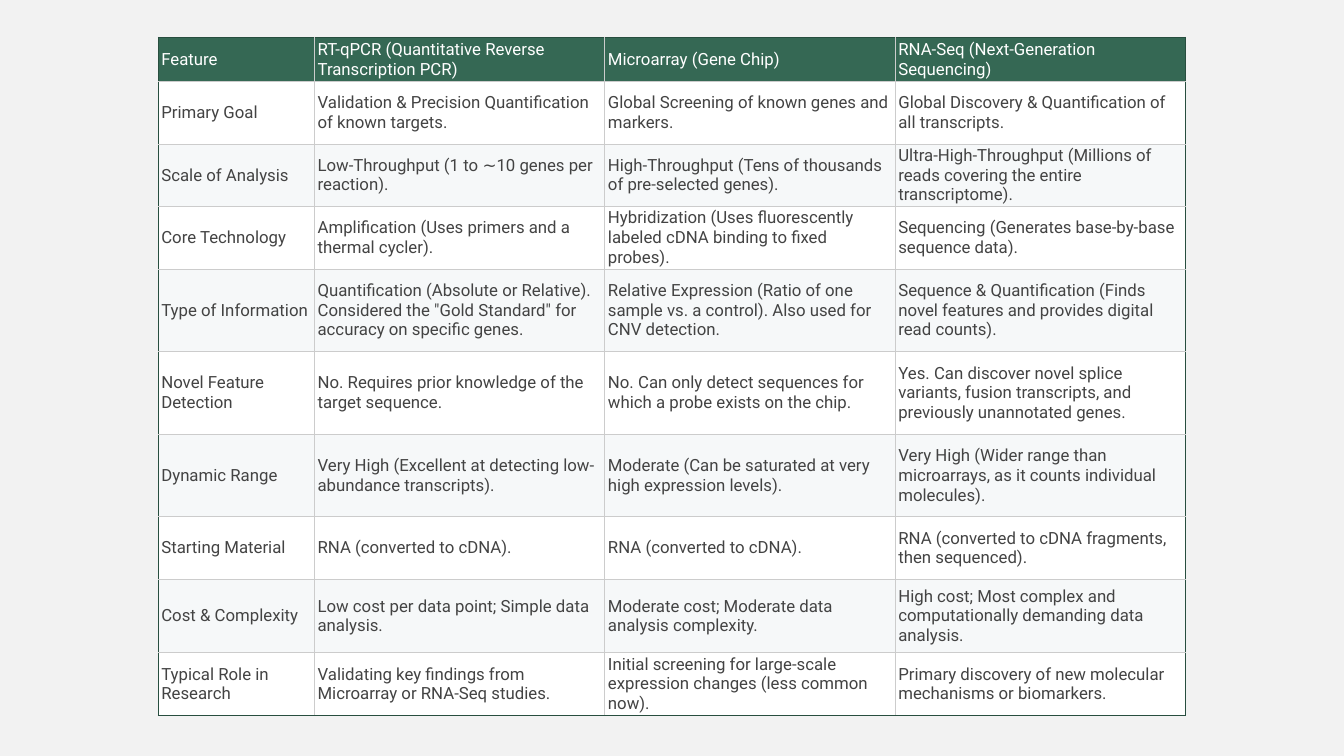
from dataclasses import dataclass

from lxml.etree import SubElement
from pptx import Presentation
from pptx.dml.color import RGBColor
from pptx.enum.text import MSO_ANCHOR
from pptx.oxml.ns import qn
from pptx.util import Inches, Pt


@dataclass(frozen=True)
class Theme:
    font: str = "Roboto"
    text_size: int = 12
    border_width: float = 0.75
    background: str = "F2F2F2"
    header_fill: str = "356854"
    header_text: str = "FFFFFF"
    body_text: str = "434343"
    row_fills: tuple = ("FFFFFF", "F6F8F9")
    outer_border: str = "284E3F"
    inner_border: str = "CCCCCC"


class SlideBuilder:
    def __init__(self, deck, theme):
        self.theme = theme
        self.page = deck.slides.add_slide(deck.slide_layouts[6])
        background = self.page.background.fill
        background.solid()
        background.fore_color.rgb = RGBColor.from_string(theme.background)

    def add_table(self, left, top, widths, heights, rows):
        frame = self.page.shapes.add_table(
            len(rows), len(widths), Inches(left), Inches(top),
            Inches(sum(widths)), Inches(sum(heights)))
        table = frame.table
        table.first_row = False
        table.horz_banding = False
        for column, width in zip(table.columns, widths):
            column.width = Inches(width)
        for row, height in zip(table.rows, heights):
            row.height = Inches(height)
        last_row, last_column = len(rows) - 1, len(widths) - 1
        for row_index, row in enumerate(rows):
            for column_index, text in enumerate(row):
                cell = table.cell(row_index, column_index)
                outer_edges = {
                    "lnL": column_index == 0,
                    "lnR": column_index == last_column,
                    "lnT": row_index == 0,
                    "lnB": row_index == last_row,
                }
                self.add_borders(cell, outer_edges)
                self.fill_cell(cell, text, row_index)

    def add_borders(self, cell, outer_edges):
        properties = cell._tc.get_or_add_tcPr()
        for edge, is_outer in outer_edges.items():
            line = SubElement(properties, qn(f"a:{edge}"), w=str(Pt(self.theme.border_width)))
            color = self.theme.outer_border if is_outer else self.theme.inner_border
            SubElement(SubElement(line, qn("a:solidFill")), qn("a:srgbClr"), val=color)

    def fill_cell(self, cell, text, row_index):
        theme = self.theme
        is_header = row_index == 0
        fill = theme.header_fill if is_header else theme.row_fills[(row_index - 1) % 2]
        cell.fill.solid()
        cell.fill.fore_color.rgb = RGBColor.from_string(fill)
        cell.vertical_anchor = MSO_ANCHOR.MIDDLE
        cell.margin_left = cell.margin_right = Inches(0.03)
        cell.margin_top = cell.margin_bottom = Inches(0.01)
        span = cell.text_frame.paragraphs[0].add_run()
        span.text = text
        span.font.name = theme.font
        span.font.size = Pt(theme.text_size)
        color = theme.header_text if is_header else theme.body_text
        span.font.color.rgb = RGBColor.from_string(color)


COLUMN_WIDTHS = [1.55, 2.88, 2.88, 2.88]
ROW_HEIGHTS = [0.44, 0.62, 0.62, 0.62, 0.82, 0.82, 0.82, 0.62, 0.73, 0.62]
METHOD_COMPARISON = [
    ("Feature",
     "RT-qPCR (Quantitative Reverse Transcription PCR)",
     "Microarray (Gene Chip)",
     "RNA-Seq (Next-Generation Sequencing)"),
    ("Primary Goal",
     "Validation & Precision Quantification of known targets.",
     "Global Screening of known genes and markers.",
     "Global Discovery & Quantification of all transcripts."),
    ("Scale of Analysis",
     "Low-Throughput (1 to ∼10 genes per reaction).",
     "High-Throughput (Tens of thousands of pre-selected genes).",
     "Ultra-High-Throughput (Millions of reads covering the entire transcriptome)."),
    ("Core Technology",
     "Amplification (Uses primers and a thermal cycler).",
     "Hybridization (Uses fluorescently labeled cDNA binding to fixed probes).",
     "Sequencing (Generates base-by-base sequence data)."),
    ("Type of Information",
     'Quantification (Absolute or Relative). Considered the "Gold Standard" '
     "for accuracy on specific genes.",
     "Relative Expression (Ratio of one sample vs. a control). Also used for CNV detection.",
     "Sequence & Quantification (Finds novel features and provides digital read counts)."),
    ("Novel Feature Detection",
     "No. Requires prior knowledge of the target sequence.",
     "No. Can only detect sequences for which a probe exists on the chip.",
     "Yes. Can discover novel splice variants, fusion transcripts, "
     "and previously unannotated genes."),
    ("Dynamic Range",
     "Very High (Excellent at detecting low-abundance transcripts).",
     "Moderate (Can be saturated at very high expression levels).",
     "Very High (Wider range than microarrays, as it counts individual molecules)."),
    ("Starting Material",
     "RNA (converted to cDNA).",
     "RNA (converted to cDNA).",
     "RNA (converted to cDNA fragments, then sequenced)."),
    ("Cost & Complexity",
     "Low cost per data point; Simple data analysis.",
     "Moderate cost; Moderate data analysis complexity.",
     "High cost; Most complex and computationally demanding data analysis."),
    ("Typical Role in Research",
     "Validating key findings from Microarray or RNA-Seq studies.",
     "Initial screening for large-scale expression changes (less common now).",
     "Primary discovery of new molecular mechanisms or biomarkers."),
]


def main():
    deck = Presentation()
    deck.slide_width = Inches(13.33)
    deck.slide_height = Inches(7.5)
    builder = SlideBuilder(deck, Theme())
    builder.add_table(1.57, 0.37, COLUMN_WIDTHS, ROW_HEIGHTS, METHOD_COMPARISON)
    deck.save("out.pptx")


if __name__ == "__main__":
    main()
